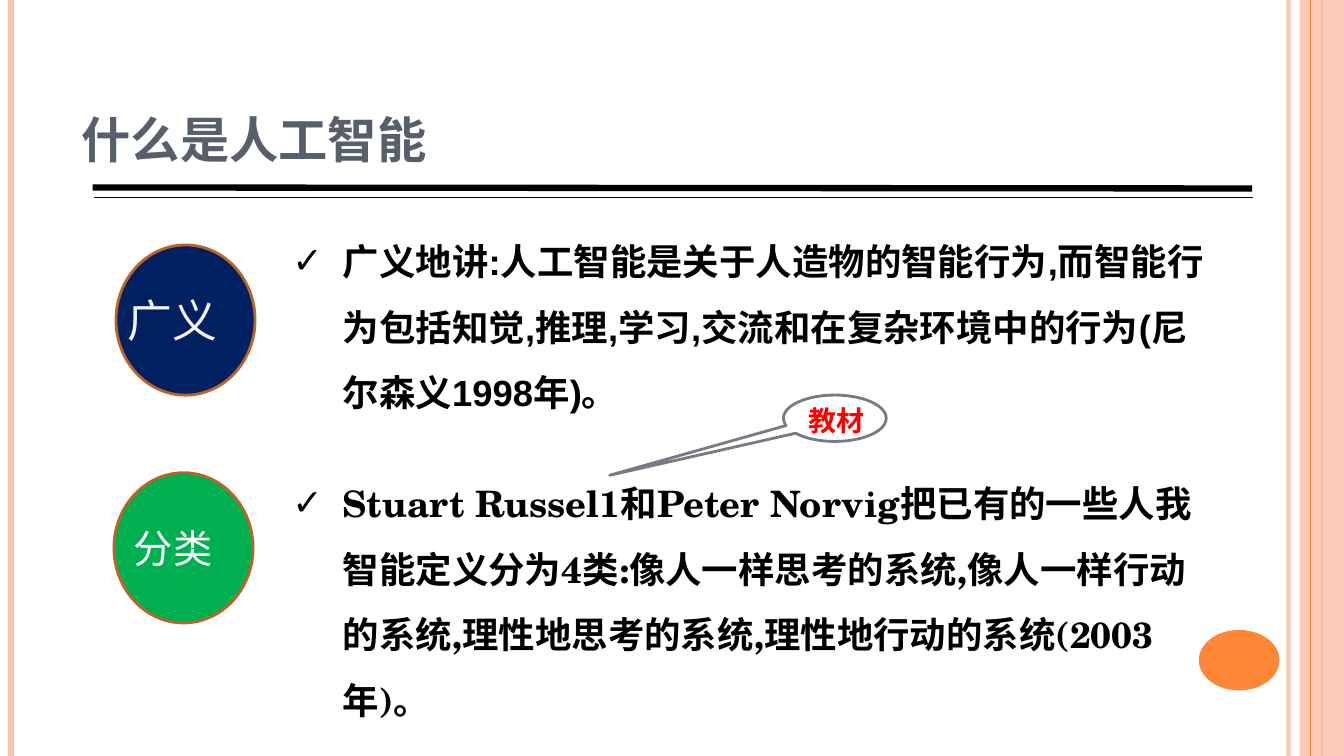
from dataclasses import dataclass

from lxml import etree
from pptx import Presentation
from pptx.dml.color import RGBColor
from pptx.enum.shapes import MSO_CONNECTOR, MSO_SHAPE
from pptx.enum.text import MSO_ANCHOR, MSO_AUTO_SIZE, PP_ALIGN
from pptx.oxml.ns import qn
from pptx.util import Pt

STRAIGHT = MSO_CONNECTOR.STRAIGHT
RECTANGLE = MSO_SHAPE.RECTANGLE
OVAL = MSO_SHAPE.OVAL
CALLOUT = MSO_SHAPE.OVAL_CALLOUT
TOP = MSO_ANCHOR.TOP
BOTTOM = MSO_ANCHOR.BOTTOM
LEFT = PP_ALIGN.LEFT
FIT_SHAPE = MSO_AUTO_SIZE.SHAPE_TO_FIT_TEXT
NO_FIT = MSO_AUTO_SIZE.NONE

EMU_PER_PX = 9144
SLIDE_WIDTH, SLIDE_HEIGHT = 1333, 750
TWO_CONTENT_LAYOUT = 3


@dataclass(frozen=True)
class Theme:
    pink: str = "FEC3AE"
    orange: str = "FE8637"
    black: str = "000000"
    white: str = "FFFFFF"
    pale: str = "F2F2F2"
    slate: str = "575F6D"
    navy: str = "002060"
    green: str = "00B050"
    rust: str = "BC6329"
    gray: str = "777C84"
    red: str = "FF0000"
    title_font: str = "Times New Roman"
    sans_font: str = "Arial"
    serif_font: str = "TeX Gyre Schola"
    title_size: int = 44
    broad_size: int = 32
    class_size: int = 28
    body_size: int = 26
    callout_size: int = 20


THEME = Theme()

BROAD_TEXT = (
    "广义地讲:人工智能是关于人造物的智能行为,而智能行为包括知觉,推理,学习,"
    "交流和在复杂环境中的行为(尼尔森义1998年)。"
)
CLASS_TEXT = (
    "Stuart Russel1和Peter Norvig把已有的一些人我智能定义分为4类:"
    "像人一样思考的系统,像人一样行动的系统,理性地思考的系统,"
    "理性地行动的系统(2003年)。"
)


def px(value):
    return value * EMU_PER_PX


def set_values(target, values):
    for name, value in values.items():
        setattr(target, name, value)


def place(shape, box):
    names = ("left", "top", "width", "height")
    set_values(shape, dict(zip(names, map(px, box))))


def set_alpha(shape, percent):
    color = shape._element.spPr.find(".//" + qn("a:srgbClr"))
    etree.SubElement(color, qn("a:alpha"), val=str(percent * 1000))


def add_rule(slide, start, end, color, width):
    rule = slide.shapes.add_connector(STRAIGHT, *map(px, start + end))
    rule.line.color.rgb = RGBColor.from_string(color)
    rule.line.width = Pt(width)
    etree.SubElement(rule._element.spPr, qn("a:effectLst"))
    return rule


def add_vertical_rule(slide, x, color, width):
    return add_rule(slide, (x, 0), (x, SLIDE_HEIGHT), color, width)


def add_figure(slide, kind, box, fill, line=None):
    shape = slide.shapes.add_shape(kind, *map(px, box))
    shape.shadow.inherit = False
    shape.fill.solid()
    shape.fill.fore_color.rgb = RGBColor.from_string(fill)
    if line:
        shape.line.color.rgb = RGBColor.from_string(line)
        shape.line.width = Pt(2)
    else:
        shape.line.fill.background()
    return shape


def write_text(shape, text, font, size, color, bold=False, anchor=TOP, fit=FIT_SHAPE):
    frame = shape.text_frame
    set_values(frame, {"word_wrap": True, "auto_size": fit, "vertical_anchor": anchor})
    paragraph = frame.paragraphs[0]
    set_values(paragraph, {"alignment": LEFT, "space_before": Pt(0)})
    run = paragraph.add_run()
    run.text = text
    set_values(run.font, {"name": font, "size": Pt(size), "bold": bold})
    run.font.color.rgb = RGBColor.from_string(color)
    return paragraph, run


def add_label(slide, box, text, size, color, bold=False):
    label = slide.shapes.add_textbox(*map(px, box))
    write_text(label, text, THEME.serif_font, size, color, bold)


def fill_title(slide, text):
    title = slide.shapes.title
    place(title, (71, 49, 1089, 125))
    _, run = write_text(title, text, THEME.title_font, THEME.title_size, THEME.slate,
                        True, BOTTOM, NO_FIT)
    run._r.get_or_add_rPr().set("cap", "small")


def fill_check_item(placeholder, box, text, font):
    place(placeholder, box)
    paragraph, _ = write_text(placeholder, text, font, THEME.body_size, THEME.black, True)
    paragraph.line_spacing = 1.5
    properties = paragraph._p.get_or_add_pPr()
    properties.set("marL", str(px(50)))
    properties.set("indent", str(px(-50)))
    etree.SubElement(properties, qn("a:buFont"), typeface=THEME.sans_font)
    etree.SubElement(properties, qn("a:buChar"), char="✓")


def add_frame(slide):
    set_alpha(add_vertical_rule(slide, 1278, THEME.pink, 3), 93)
    add_vertical_rule(slide, 11, THEME.pink, 4.5)
    add_vertical_rule(slide, 1311, THEME.orange, 1.5)
    band = add_figure(slide, RECTANGLE, (1289, 0, 44, SLIDE_HEIGHT), THEME.pink)
    set_alpha(band, 87)
    add_vertical_rule(slide, 1300, THEME.orange, 0.75)
    add_figure(slide, OVAL, (1189, 625, 80, 60), THEME.orange)
    add_rule(slide, (1242, 187), (92, 186), THEME.black, 4.5)
    add_rule(slide, (1243, 196), (93, 196), THEME.black, 1)


def add_callout(slide):
    callout = add_figure(slide, CALLOUT, (777, 392, 102, 46), THEME.white, THEME.gray)
    callout.adjustments[0] = -2.19
    callout.adjustments[1] = 1.23
    add_label(slide, (792, 395, 115, 44), "教材", THEME.callout_size, THEME.red, True)


def main():
    presentation = Presentation()
    presentation.slide_width = px(SLIDE_WIDTH)
    presentation.slide_height = px(SLIDE_HEIGHT)
    slide = presentation.slides.add_slide(presentation.slide_layouts[TWO_CONTENT_LAYOUT])
    add_frame(slide)
    fill_title(slide, "什么是人工智能")
    add_figure(slide, OVAL, (115, 243, 138, 149), THEME.navy, THEME.rust)
    add_label(slide, (117, 286, 118, 64), "广义", THEME.broad_size, THEME.pale)
    add_figure(slide, OVAL, (113, 469, 138, 149), THEME.green, THEME.rust)
    add_label(slide, (123, 515, 118, 57), "分类", THEME.class_size, THEME.white)
    fill_check_item(slide.placeholders[1], (280, 211, 941, 197), BROAD_TEXT, THEME.sans_font)
    fill_check_item(slide.placeholders[2], (280, 451, 941, 198), CLASS_TEXT, THEME.serif_font)
    add_callout(slide)
    presentation.save("out.pptx")


if __name__ == "__main__":
    main()
